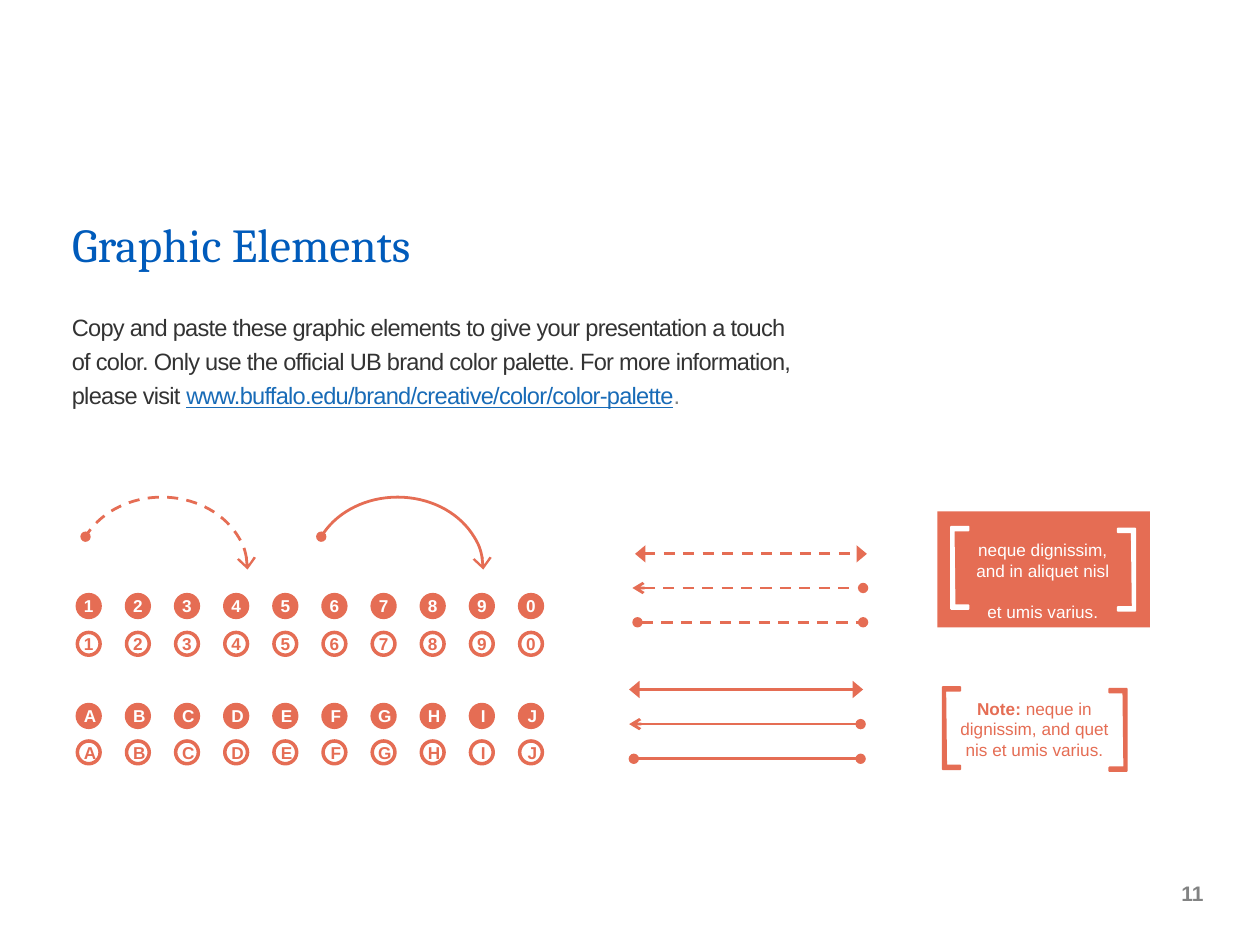
from dataclasses import dataclass

from pptx import Presentation
from pptx.dml.color import RGBColor
from pptx.enum.dml import MSO_LINE
from pptx.enum.shapes import MSO_CONNECTOR, MSO_SHAPE
from pptx.enum.text import MSO_ANCHOR as Anchor, PP_ALIGN as Align
from pptx.oxml.ns import qn
from pptx.util import Pt
from lxml.etree import SubElement


@dataclass(frozen=True)
class Theme:
    coral = RGBColor.from_string("E56D54")
    white = RGBColor.from_string("FFFFFF")
    blue = RGBColor.from_string("005BBB")
    link = RGBColor.from_string("186BB7")
    ink = RGBColor.from_string("333333")
    grey = RGBColor.from_string("828383")
    serif = "Cambria"
    sans = "Arial"
    title = Pt(27)
    body = Pt(13.5)
    number = Pt(12)
    label = Pt(9.8)
    stroke = Pt(1.6)


theme = Theme()
deck = Presentation()
deck.slide_width, deck.slide_height = Pt(720), Pt(540)
page = deck.slides.add_slide(deck.slide_layouts[5])
shapes = page.shapes


def style_stroke(item, dashed, head, tail, wide):
    """Draw the line in coral, with the named ends at its start and finish."""
    item.line.color.rgb = theme.coral
    item.line.width = theme.stroke
    if dashed:
        item.line.dash_style = MSO_LINE.DASH
    outline = item.line._get_or_add_ln()
    for tag, kind in (("a:headEnd", head), ("a:tailEnd", tail)):
        width = "lg" if wide and kind != "oval" else "med"
        SubElement(outline, qn(tag), type=kind, w=width, len="med")


def style_text(paragraph, size, color, font=theme.sans, bold=False, align=Align.CENTER):
    paragraph.alignment = align
    paragraph.font.name = font
    paragraph.font.size = size
    paragraph.font.bold = bold
    paragraph.font.color.rgb = color


# Title
title = shapes.title
title.left, title.top, title.width, title.height = Pt(34), Pt(103.7), Pt(252), Pt(56)
title.text_frame.vertical_anchor = Anchor.BOTTOM
title.text_frame.text = "Graphic Elements"
heading = title.text_frame.paragraphs[0]
heading.line_spacing = 0.9
style_text(heading, theme.title, theme.blue, theme.serif, align=Align.LEFT)

# Introduction
intro = shapes.add_textbox(Pt(34), Pt(172), Pt(430), Pt(73.5))
intro.text_frame.word_wrap = True
paragraph = intro.text_frame.paragraphs[0]
paragraph.line_spacing = Pt(19.5)
style_text(paragraph, theme.body, theme.ink, align=Align.LEFT)
for words, color, underlined in (
    ("Copy and paste these graphic elements to give your presentation a touch of color. "
     "Only use the official UB brand color palette. For more information, please visit ",
     theme.ink, False),
    ("www.buffalo.edu/brand/creative/color/color-palette", theme.link, True),
    (".", theme.grey, False),
):
    span = paragraph.add_run()
    span.text = words
    span.font.color.rgb = color
    span.font.underline = underlined
    span._r.get_or_add_rPr().set("spc", "-40")

# Curved arrows
for left, dashed in ((51.1, True), (185.8, False)):
    arc = shapes.add_shape(MSO_SHAPE.ARC, Pt(left), Pt(276.5), Pt(82.8), Pt(97.9))
    arc.adjustments[0], arc.adjustments[1] = 162, 40.02
    arc.rotation = 270
    arc._element.spPr.find(qn("a:xfrm")).set("flipV", "1")
    arc.shadow.inherit = False
    arc.fill.background()
    style_stroke(arc, dashed, "arrow", "oval", wide=True)

# Numbered and lettered badges
for top, labels, filled, nudge in (
    (339.8, "1234567890", True, 0),
    (361.4, "1234567890", False, 0),
    (402.6, "ABCDEFGHIJ", True, 1.6),
    (423.4, "ABCDEFGHIJ", False, 1.6),
):
    for column, label in enumerate(labels):
        badge = shapes.add_shape(
            MSO_SHAPE.OVAL, Pt(44.2 + 28.08 * column), Pt(top), Pt(13), Pt(13))
        badge.shadow.inherit = False
        badge.line.color.rgb = theme.coral
        badge.line.width = Pt(2)
        if filled:
            badge.fill.solid()
            badge.fill.fore_color.rgb = theme.coral
        else:
            badge.fill.background()
        frame = badge.text_frame
        frame.word_wrap = False
        frame.vertical_anchor = Anchor.MIDDLE
        frame.margin_left = Pt(nudge)
        frame.margin_right = frame.margin_top = frame.margin_bottom = 0
        frame.text = label
        style_text(frame.paragraphs[0], theme.label,
                   theme.white if filled else theme.coral, bold=True)

# Straight arrows
for start, end, y, dashed, head, tail in (
    (362.9, 495.4, 316.5, True, "triangle", "triangle"),
    (361.4, 493.2, 336, True, "arrow", "oval"),
    (364.3, 493.2, 355.6, True, "oval", "oval"),
    (359.5, 493.2, 394, False, "triangle", "triangle"),
    (359.5, 491.8, 413.8, False, "arrow", "oval"),
    (362.2, 491.8, 433.6, False, "oval", "oval"),
):
    arrow = shapes.add_connector(MSO_CONNECTOR.STRAIGHT, Pt(start), Pt(y), Pt(end), Pt(y))
    style_stroke(arrow, dashed, head, tail, wide=head == "triangle")
    SubElement(arrow._element.spPr, qn("a:effectLst"))

# Bracketed notes
panel = shapes.add_shape(MSO_SHAPE.RECTANGLE, Pt(535.7), Pt(292.2), Pt(121.5), Pt(66.3))
panel.shadow.inherit = False
panel.fill.solid()
panel.fill.fore_color.rgb = theme.coral
panel.line.fill.background()

bracket_outline = ((0, 0), (0, 47), (10, 47), (10, 44.9), (2, 44.9), (1.5, 2.1), (10, 2.1))
for left, top, color in ((543.5, 301, theme.white), (538.7, 392.6, theme.coral)):
    for shift, drop, turn in ((0, 0, 0), (95.2, 1, 180)):
        builder = shapes.build_freeform(Pt(10), Pt(0), scale=1.0)
        builder.add_line_segments([(Pt(x), Pt(y)) for x, y in bracket_outline])
        bracket = builder.convert_to_shape(Pt(left + shift), Pt(top + drop))
        bracket.rotation = turn
        bracket.shadow.inherit = False
        bracket.fill.solid()
        bracket.fill.fore_color.rgb = theme.coral if color == theme.coral else theme.white
        bracket.line.color.rgb = color
        bracket.line.width = Pt(1)

for left, top, width, lead, words, color in (
    (549.4, 304.6, 92.9, "", "neque dignissim, and in aliquet nisl \vet umis varius.", theme.white),
    (538.6, 395.3, 105.1, "Note: ", "neque in dignissim, and quet nis et umis varius.", theme.coral),
):
    note = shapes.add_textbox(Pt(left), Pt(top), Pt(width), Pt(42.5))
    note.text_frame.word_wrap = True
    paragraph = note.text_frame.paragraphs[0]
    paragraph.text = lead + words if not lead else ""
    style_text(paragraph, theme.label, color)
    if lead:
        for part, bold in ((lead, True), (words, False)):
            span = paragraph.add_run()
            span.text = part
            span.font.bold = bold

# Page number
number = shapes.add_textbox(Pt(652.3), Pt(489.6), Pt(42.5), Pt(41.8))
number.text_frame.vertical_anchor = Anchor.MIDDLE
number.text_frame.text = "11"
style_text(number.text_frame.paragraphs[0], theme.number, theme.grey, bold=True, align=Align.RIGHT)
number.text_frame.word_wrap = True

deck.save("out.pptx")
